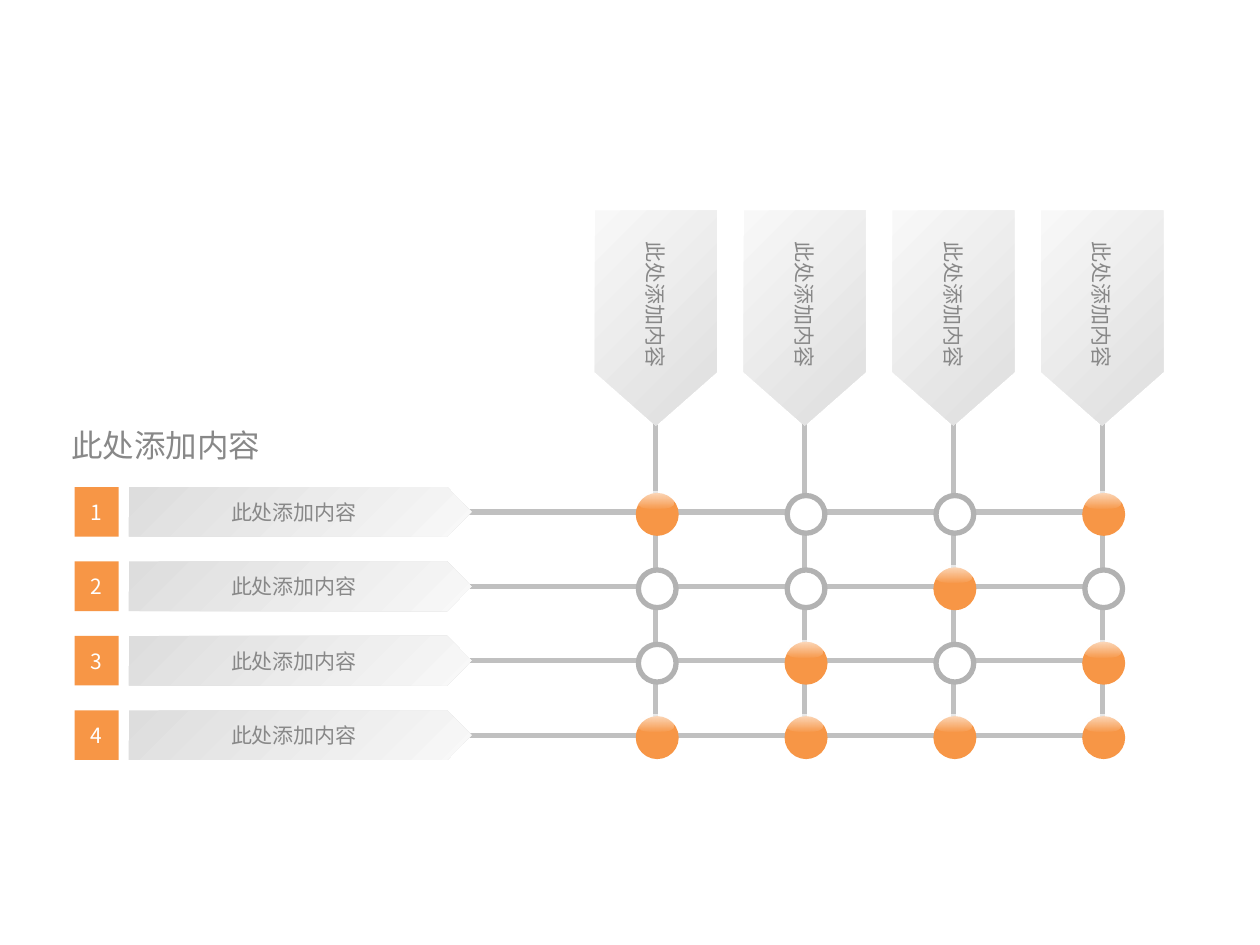
"""Build a slide with a four-by-four matrix of marked crossings."""
import math
from dataclasses import dataclass

import lxml.etree
import pptx
import pptx.dml.color
import pptx.enum.shapes
import pptx.enum.text
import pptx.oxml.ns
import pptx.util

Cm = pptx.util.Cm
Pt = pptx.util.Pt
RGBColor = pptx.dml.color.RGBColor
Shape = pptx.enum.shapes.MSO_SHAPE
qn = pptx.oxml.ns.qn

ORANGE = RGBColor(0xF7, 0x96, 0x46)
WHITE = RGBColor(0xFF, 0xFF, 0xFF)
TEXT = RGBColor(0x88, 0x88, 0x88)
WIRE = RGBColor(0xC0, 0xC0, 0xC0)
RING = RGBColor(0xB2, 0xB2, 0xB2)
DARK = RGBColor(0xDD, 0xDD, 0xDD)
LIGHT = RGBColor(0xF8, 0xF8, 0xF8)
FONT = "Noto Sans CJK SC"
LABEL = "此处添加内容"
LEFT, TOP = 13.22, 10.32
COL, ROW = 3.0, 1.5


@dataclass(frozen=True)
class Row:
    tag: str
    dots: str


@dataclass(frozen=True)
class Plate:
    wide: float
    high: float
    notch: float
    turn: int
    angle: int
    first: RGBColor
    last: RGBColor
    wrap: bool


ROWS = [Row("1", "X--X"), Row("2", "--X-"), Row("3", "-X-X"), Row("4", "XXXX")]
SIDE = Plate(6.91, 1.0, 0.49, 0, 315, DARK, LIGHT, True)
HEAD = Plate(4.34, 2.46, 0.44, 90, 45, LIGHT, DARK, False)


def write(shape, text: str, size: int, color: RGBColor, wrap: bool, center: bool = True) -> None:
    frame = shape.text_frame
    frame.word_wrap = wrap
    para = frame.paragraphs[0]
    para.text = text
    if center:
        frame.vertical_anchor = pptx.enum.text.MSO_ANCHOR.MIDDLE
        para.alignment = pptx.enum.text.PP_ALIGN.CENTER
    font = para.font
    font.size = Pt(size)
    font.color.rgb = color
    font.name = FONT
    lxml.etree.SubElement(font._element, qn("a:ea"), typeface=FONT)


def shade(shape, angle: int, first: RGBColor, last: RGBColor) -> None:
    shape.fill.gradient()
    shape.fill.gradient_angle = angle
    for stop, color, place in zip(shape.fill.gradient_stops, (first, last), (0, 1)):
        stop.color.rgb = color
        stop.position = place


def wire(shapes, x1: float, y1: float, x2: float, y2: float) -> None:
    line = shapes.add_connector(
        pptx.enum.shapes.MSO_CONNECTOR.STRAIGHT, Cm(x1), Cm(y1), Cm(x2), Cm(y2))
    line.line.color.rgb = WIRE
    line.line.width = Pt(3)
    lxml.etree.SubElement(line._element.spPr, qn("a:effectLst"))


def block(shapes, kind, x: float, y: float, wide: float, high: float):
    shape = shapes.add_shape(kind, Cm(x - wide / 2), Cm(y - high / 2), Cm(wide), Cm(high))
    shape.shadow.inherit = False
    shape.line.fill.background()
    return shape


def arrow(shapes, x: float, y: float, plate: Plate) -> None:
    shape = block(shapes, Shape.PENTAGON, x, y, plate.wide, plate.high)
    shape.adjustments[0] = plate.notch
    shape.rotation = plate.turn
    shade(shape, plate.angle, plate.first, plate.last)
    write(shape, LABEL, 12, TEXT, plate.wrap)


def gloss(shapes, x: float, y: float) -> None:
    points = []
    for step in range(48):
        turn = math.tau * step / 48
        high = 0.11 if math.sin(turn) > 0 else 0.23
        points.append((Cm(x + 0.36 * math.cos(turn)), Cm(y + high * math.sin(turn))))
    path = shapes.build_freeform(*points[0])
    path.add_line_segments(points[1:])
    shape = path.convert_to_shape()
    shape.shadow.inherit = False
    shape.line.fill.background()
    shade(shape, 270, WHITE, WHITE)
    for color, alpha in zip(shape._element.spPr.iter(qn("a:srgbClr")), ("70000", "0")):
        lxml.etree.SubElement(color, qn("a:alpha"), val=alpha)


def dot(shapes, x: float, y: float, full: bool) -> None:
    shape = block(shapes, Shape.OVAL, x + 0.03, y + 0.05, 0.76, 0.76)
    shape.fill.solid()
    shape.fill.fore_color.rgb = ORANGE if full else WHITE
    shape.line.color.rgb = ORANGE if full else RING
    shape.line.width = Pt(3)
    if full:
        gloss(shapes, x, y - 0.18)


def badge(shapes, y: float, tag: str) -> None:
    shape = block(shapes, Shape.RECTANGLE, 1.95, y, 0.89, 1.0)
    shape.fill.solid()
    shape.fill.fore_color.rgb = ORANGE
    write(shape, tag, 12, WHITE, False)


def main() -> None:
    deck = pptx.Presentation()
    deck.slide_width, deck.slide_height = Cm(25.4), Cm(19.05)
    shapes = deck.slides.add_slide(deck.slide_layouts[6]).shapes
    cols = [LEFT + COL * i for i in range(4)]
    for x in cols:
        wire(shapes, x, 7.92, x, 14.94)
    for x in cols:
        arrow(shapes, x, 6.41, HEAD)
    for i, row in enumerate(ROWS):
        y = TOP + ROW * i
        wire(shapes, 9.3, y, 22.6, y)
        arrow(shapes, 6.05, y, SIDE)
        badge(shapes, y, row.tag)
        for x, mark in zip(cols, row.dots):
            dot(shapes, x, y, mark == "X")
    title = shapes.add_textbox(Cm(1.19), Cm(8.46), Cm(4.39), Cm(1.02))
    write(title, LABEL, 18, TEXT, False, center=False)
    title.text_frame.auto_size = pptx.enum.text.MSO_AUTO_SIZE.SHAPE_TO_FIT_TEXT
    deck.save("out.pptx")


if __name__ == "__main__":
    main()
